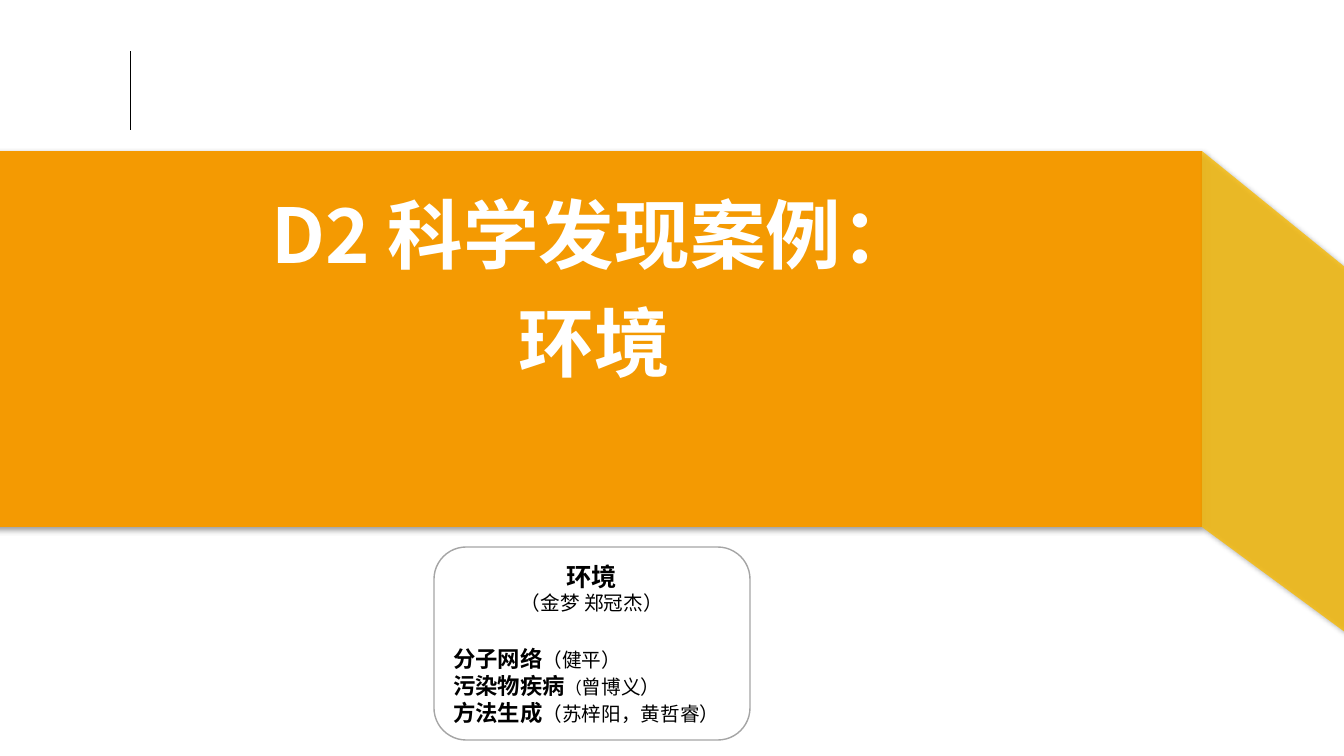
from lxml.etree import SubElement
from pptx import Presentation
from pptx.dml.color import RGBColor
from pptx.enum.shapes import MSO_CONNECTOR as Connector, MSO_SHAPE as Shape
from pptx.enum.text import MSO_ANCHOR as Anchor, PP_ALIGN as Align
from pptx.oxml.ns import qn
from pptx.util import Emu, Pt

ORANGE = RGBColor(0xF4, 0x9A, 0x02)
AMBER = RGBColor(0xFA, 0xBB, 0x00)
WHITE = RGBColor(0xFF, 0xFF, 0xFF)
BLACK = RGBColor(0x00, 0x00, 0x00)
GREY = RGBColor(0xA5, 0xA5, 0xA5)
CJK = "Noto Sans CJK SC"
LATIN = "Calibri"
TOPICS = [
    [("分子网络", 16, True, CJK), ("（健平）", 14, False, CJK)],
    [("污染物疾病", 16, True, CJK), ("（", 12, False, CJK),
     ("曾博义", 14, False, CJK), ("）", 14, False, LATIN)],
    [("方法生成", 16, True, CJK), ("（苏梓阳，黄哲睿）", 14, False, CJK)],
]


def px(count):
    """Turn slide pixels into EMU."""
    return Emu(round(count * 914400 / 100.8))


def style_font(font, size, bold, name, color):
    """Set size, weight, colour and both Latin and East Asian faces."""
    font.size, font.bold, font.name = Pt(size), bold, name
    font.color.rgb = color
    SubElement(font._element, qn("a:ea"), typeface=CJK)


def add_shadow(shape):
    """Give a shape a soft diagonal shadow."""
    shape.shadow.inherit = False
    effects = shape._element.spPr.find(qn("a:effectLst"))
    shadow = SubElement(effects, qn("a:outerShdw"), blurRad=str(Pt(4)),
                        dist=str(Pt(3)), dir="2700000", rotWithShape="0")
    color = SubElement(shadow, qn("a:srgbClr"), val=str(BLACK))
    SubElement(color, qn("a:alpha"), val="40000")


def add_title(page, left, top, width, height):
    """Place the two-line heading at the bottom of its box."""
    box = page.shapes.add_textbox(px(left), px(top), px(width), px(height))
    frame = box.text_frame
    frame.word_wrap = True
    frame.vertical_anchor = Anchor.BOTTOM
    para = frame.paragraphs[0]
    para.text = "D2 科学发现案例：\v环境"
    para.alignment = Align.CENTER
    para.line_spacing = 1.2
    para.space_after = Pt(6)
    style_font(para.font, 54, True, CJK, WHITE)


def add_banner(page, left, top, width, height):
    """Draw the orange band, its heading and the folded end."""
    band = page.shapes.add_shape(Shape.RECTANGLE, px(left), px(top), px(width), px(height))
    band.fill.solid()
    band.fill.fore_color.rgb = ORANGE
    band.line.fill.background()
    add_shadow(band)
    add_title(page, left + 174, top + 60, 921, 181)

    right, bottom = left + width, top + height
    builder = page.shapes.build_freeform(px(right), px(top))
    builder.add_line_segments([
        (px(right + 228), px(top + 185)),
        (px(right + 230), px(bottom + 169)),
        (px(right), px(bottom)),
    ], close=True)
    fold = builder.convert_to_shape()
    fold.fill.solid()
    fold.fill.fore_color.rgb = AMBER
    fill_color = fold._element.spPr.find(qn("a:solidFill"))[0]
    SubElement(fill_color, qn("a:alpha"), val="78000")
    fold.line.fill.background()
    add_shadow(fold)


def add_rule(page, left, top, height):
    """Draw the thin upright line above the banner."""
    rule = page.shapes.add_connector(Connector.STRAIGHT, px(left), px(top + height),
                                     px(left), px(top))
    rule.line.color.rgb = BLACK
    rule.line.width = Pt(0.5)
    SubElement(rule._element.spPr, qn("a:effectLst"))


def add_card(page, left, top, width, height):
    """Draw the rounded card with the group, its leads and its topics."""
    card = page.shapes.add_shape(Shape.ROUNDED_RECTANGLE, px(left), px(top),
                                 px(width), px(height))
    card.shadow.inherit = False
    card.fill.solid()
    card.fill.fore_color.rgb = WHITE
    card.line.color.rgb = GREY
    card.line.width = Pt(1)
    frame = card.text_frame
    frame.word_wrap = True
    frame.vertical_anchor = Anchor.MIDDLE

    heading = frame.paragraphs[0]
    heading.text = "环境"
    heading.alignment = Align.CENTER
    style_font(heading.font, 18, True, LATIN, BLACK)
    leads = frame.add_paragraph()
    leads.text = "（金梦 郑冠杰）"
    leads.alignment = Align.CENTER
    style_font(leads.font, 14, False, CJK, BLACK)

    for index, topic in enumerate(TOPICS):
        para = frame.add_paragraph()
        para.alignment = Align.LEFT
        if index == 0:
            para.space_before = Pt(22)
        for text, size, bold, name in topic:
            span = para.add_run()
            span.text = text
            style_font(span.font, size, bold, name, BLACK)


def main():
    """Build the section cover and save it."""
    deck = Presentation()
    deck.slide_width, deck.slide_height = px(1344), px(756)
    page = deck.slides.add_slide(deck.slide_layouts[6])
    add_banner(page, -40, 151, 1242, 376)
    add_rule(page, 130, 51, 79)
    add_card(page, 434, 547, 316, 193)
    deck.save("out.pptx")


if __name__ == "__main__":
    main()
